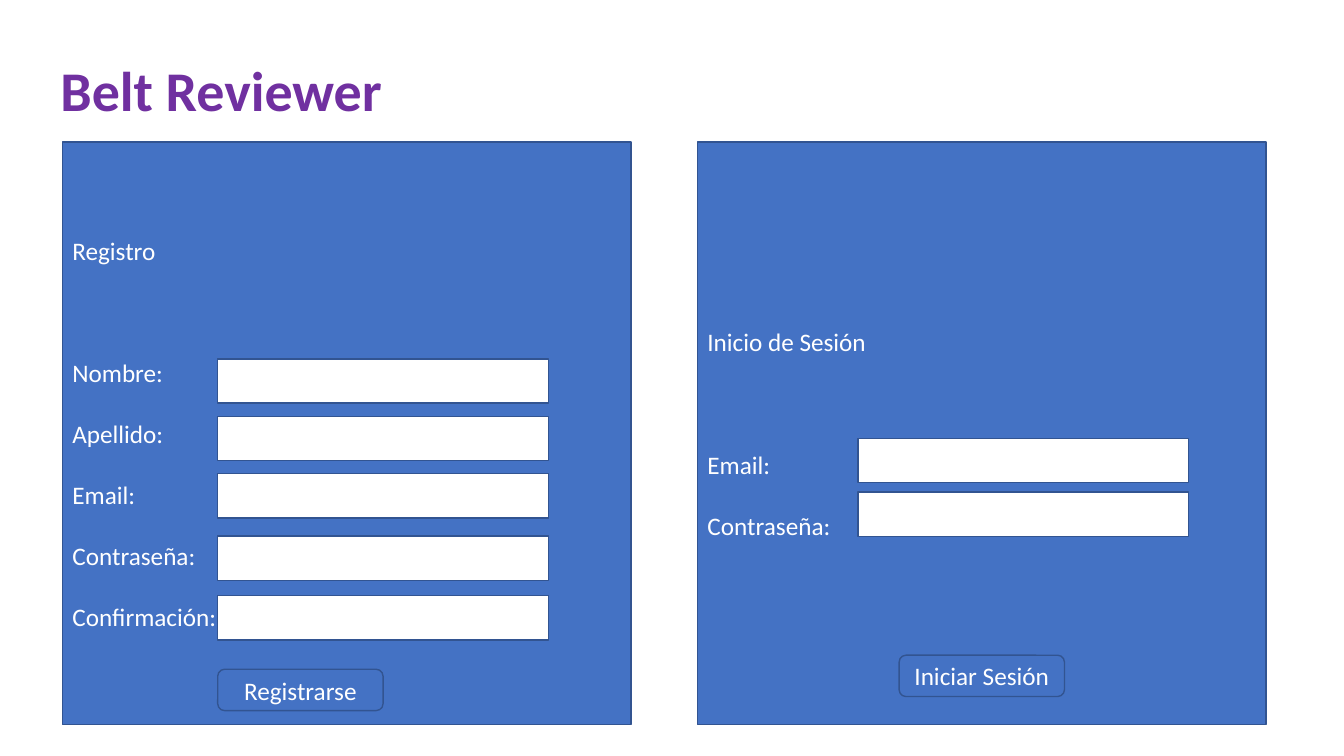
from dataclasses import dataclass

from pptx import Presentation
from pptx.dml.color import RGBColor
from pptx.enum.shapes import MSO_SHAPE as Shape
from pptx.enum.text import MSO_ANCHOR as Anchor, MSO_AUTO_SIZE as AutoSize, PP_ALIGN as Align
from pptx.shapes.autoshape import Shape as AutoShape
from pptx.slide import Slide
from pptx.text.text import _Paragraph as Paragraph
from pptx.util import Emu, Inches, Pt

PURPLE = RGBColor(0x70, 0x30, 0xA0)
BLUE = RGBColor(0x44, 0x72, 0xC4)
DARK_BLUE = RGBColor(0x32, 0x54, 0x91)
WHITE = RGBColor(0xFF, 0xFF, 0xFF)
FONT = "Calibri"

# Grid of 100 columns by 100 rows
SLIDE_WIDTH, SLIDE_HEIGHT = Inches(13.33), Inches(7.5)
COLUMN, ROW = SLIDE_WIDTH / 100, SLIDE_HEIGHT / 100

PANEL_TOP, PANEL_WIDTH, PANEL_HEIGHT = 18.8, 42.3, 77.07
FIELD_WIDTH, FIELD_HEIGHT = 24.6, 5.87
BUTTON_WIDTH, BUTTON_HEIGHT = 12.3, 5.47
LINE = 22  # height of one text line in points


@dataclass
class Box:
    left: float
    top: float
    width: float
    height: float

    def place(self) -> tuple[Emu, Emu, Emu, Emu]:
        return (Emu(round(self.left * COLUMN)), Emu(round(self.top * ROW)),
                Emu(round(self.width * COLUMN)), Emu(round(self.height * ROW)))


@dataclass
class Form:
    heading: str
    labels: list[str]
    left: float
    field_left: float
    field_tops: list[float]
    button: str
    button_left: float
    button_top: float


FORMS = [
    Form("Registro", ["Nombre:", "Apellido:", "Email:", "Contraseña:", "Confirmación:"],
         4.65, 16.2, [47.47, 55.07, 62.67, 70.93, 78.8], "Registrarse", 16.2, 88.53),
    Form("Inicio de Sesión", ["Email:", "Contraseña:"],
         51.9, 63.83, [58, 65.07], "Iniciar Sesión", 66.9, 86.67),
]


def write(paragraph: Paragraph, text: str, size: int, color: RGBColor,
          align: Align = Align.LEFT, bold: bool = False) -> None:
    paragraph.alignment = align
    run = paragraph.add_run()
    run.text = text
    run.font.name = FONT
    run.font.size = Pt(size)
    run.font.bold = bold
    run.font.color.rgb = color


def add_box(slide: Slide, kind: Shape, box: Box, fill: RGBColor) -> AutoShape:
    shape = slide.shapes.add_shape(kind, *box.place())
    shape.shadow.inherit = False
    shape.fill.solid()
    shape.fill.fore_color.rgb = fill
    shape.line.color.rgb = DARK_BLUE
    shape.line.width = Pt(1)
    shape.text_frame.vertical_anchor = Anchor.MIDDLE
    return shape


def add_title(slide: Slide, text: str) -> None:
    title = slide.shapes.title
    title.left, title.top, title.width, title.height = Box(3.75, 6.67, 35.63, 10.27).place()
    frame = title.text_frame
    frame.auto_size = AutoSize.NONE
    frame.vertical_anchor = Anchor.TOP
    write(frame.paragraphs[0], text, 40, PURPLE, bold=True)


def add_form(slide: Slide, form: Form) -> None:
    # Panel with heading and labels
    panel = add_box(slide, Shape.RECTANGLE,
                    Box(form.left, PANEL_TOP, PANEL_WIDTH, PANEL_HEIGHT), BLUE)
    frame = panel.text_frame
    heading = frame.paragraphs[0]
    write(heading, form.heading, 18, WHITE)
    heading.space_after = Pt(3 * LINE)
    for index, label in enumerate(form.labels):
        paragraph = frame.add_paragraph()
        write(paragraph, label, 18, WHITE)
        if index:
            paragraph.space_before = Pt(LINE)

    # Input fields
    for top in form.field_tops:
        add_box(slide, Shape.RECTANGLE,
                Box(form.field_left, top, FIELD_WIDTH, FIELD_HEIGHT), WHITE)

    # Button
    button = add_box(slide, Shape.ROUNDED_RECTANGLE,
                     Box(form.button_left, form.button_top, BUTTON_WIDTH, BUTTON_HEIGHT), BLUE)
    write(button.text_frame.paragraphs[0], form.button, 18, WHITE, Align.CENTER)


def main() -> None:
    presentation = Presentation()
    presentation.slide_width, presentation.slide_height = SLIDE_WIDTH, SLIDE_HEIGHT
    slide = presentation.slides.add_slide(presentation.slide_layouts.get_by_name("Title Only"))
    add_title(slide, "Belt Reviewer")
    for form in FORMS:
        add_form(slide, form)
    presentation.save("out.pptx")


if __name__ == "__main__":
    main()
